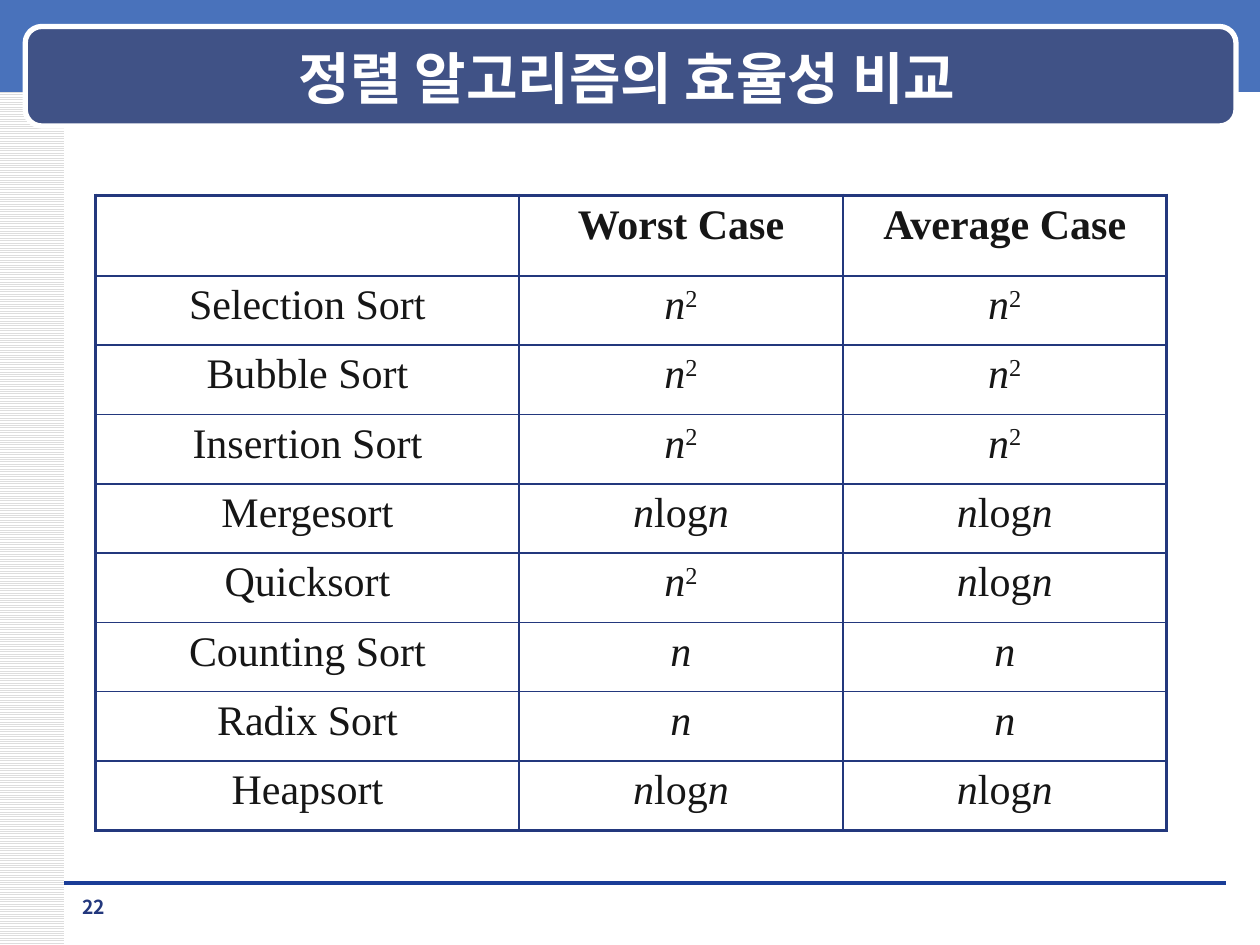
from dataclasses import dataclass

from lxml import etree
from pptx import Presentation
from pptx.dml.color import RGBColor
from pptx.enum.dml import MSO_PATTERN
from pptx.enum.shapes import MSO_CONNECTOR, MSO_SHAPE
from pptx.enum.text import MSO_ANCHOR, PP_ALIGN
from pptx.oxml.ns import qn
from pptx.util import Inches, Pt

RECTANGLE = MSO_SHAPE.RECTANGLE
ROUNDED = MSO_SHAPE.ROUNDED_RECTANGLE
STRIPES = MSO_PATTERN.LIGHT_HORIZONTAL
STRAIGHT = MSO_CONNECTOR.STRAIGHT
CENTER = PP_ALIGN.CENTER
MIDDLE = MSO_ANCHOR.MIDDLE

KOREAN_FONT = "Noto Sans CJK KR"
TABLE_FONT = "Times New Roman"
WHITE = "FFFFFF"
NAVY = "23387D"
INK = "161616"
THIN, THICK = 1, 2.25
COLUMN_WIDTHS = [3.36, 2.57, 2.57]
HEADER_HEIGHT, ROW_HEIGHT = 0.64, 0.55


@dataclass(frozen=True)
class Box:
    left: float
    top: float
    width: float
    height: float

    def lengths(self) -> list:
        return [Inches(value) for value in (self.left, self.top, self.width, self.height)]


@dataclass(frozen=True)
class Piece:
    text: str
    bold: bool = False
    italic: bool = False
    raised: bool = False


N = Piece("n", italic=True)
LINEAR = [N]
QUADRATIC = [N, Piece("2", raised=True)]
LOGARITHMIC = [N, Piece("log"), N]

HEADER = [[], [Piece("Worst Case", bold=True)], [Piece("Average Case", bold=True)]]
SORTS = [
    ("Selection Sort", QUADRATIC, QUADRATIC),
    ("Bubble Sort", QUADRATIC, QUADRATIC),
    ("Insertion Sort", QUADRATIC, QUADRATIC),
    ("Mergesort", LOGARITHMIC, LOGARITHMIC),
    ("Quicksort", QUADRATIC, LOGARITHMIC),
    ("Counting Sort", LINEAR, LINEAR),
    ("Radix Sort", LINEAR, LINEAR),
    ("Heapsort", LOGARITHMIC, LOGARITHMIC),
]


def color(value: str) -> RGBColor:
    return RGBColor.from_string(value)


def add_panel(slide, kind, box: Box, fill: str):
    shape = slide.shapes.add_shape(kind, *box.lengths())
    shape.shadow.inherit = False
    shape.fill.solid()
    shape.fill.fore_color.rgb = color(fill)
    shape.line.fill.background()
    return shape


def add_striped_margin(slide) -> None:
    margin = add_panel(slide, RECTANGLE, Box(0, 0, 0.51, 7.5), WHITE)
    margin.fill.patterned()
    margin.fill.pattern = STRIPES
    margin.fill.fore_color.rgb = color("DDDDDD")
    margin.fill.back_color.rgb = color(WHITE)


def add_title_plate(slide) -> None:
    plate = add_panel(slide, ROUNDED, Box(0.2, 0.21, 9.61, 0.79), "405286")
    plate.adjustments[0] = 0.167
    plate.line.color.rgb = color(WHITE)
    plate.line.width = Pt(3)


def add_footer_line(slide) -> None:
    line = slide.shapes.add_connector(
        STRAIGHT, Inches(0.51), Inches(7.01), Inches(9.73), Inches(7.01)
    )
    line.line.color.rgb = color("1A3D97")
    line.line.width = Pt(0)
    etree.SubElement(line._element.spPr, qn("a:effectLst"))


def format_run(run, font: str, size: float, fill: str, bold: bool) -> None:
    run.font.name = font
    run.font.size = Pt(size)
    run.font.bold = bold
    run.font.color.rgb = color(fill)
    east_asian = etree.SubElement(run._r.get_or_add_rPr(), qn("a:ea"))
    east_asian.set("typeface", font)


def add_label(slide, box: Box, text: str, size: float, fill: str) -> None:
    frame = slide.shapes.add_textbox(*box.lengths()).text_frame
    frame.word_wrap = True
    frame.vertical_anchor = MIDDLE
    frame.text = text
    paragraph = frame.paragraphs[0]
    paragraph.alignment = CENTER
    format_run(paragraph.runs[0], KOREAN_FONT, size, fill, True)


def write_cell(cell, pieces: list[Piece]) -> None:
    paragraph = cell.text_frame.paragraphs[0]
    paragraph.alignment = CENTER
    for piece in pieces:
        run = paragraph.add_run()
        run.text = piece.text
        format_run(run, TABLE_FONT, 24, INK, piece.bold)
        run.font.italic = piece.italic
        if piece.raised:
            run._r.get_or_add_rPr().set("baseline", "30000")


def set_borders(cell, outer_edges: dict[str, bool]) -> None:
    properties = cell._tc.get_or_add_tcPr()
    for edge, is_outer in outer_edges.items():
        width = Pt(THICK if is_outer else THIN)
        border = etree.SubElement(properties, qn(f"a:{edge}"), w=str(width))
        fill = etree.SubElement(border, qn("a:solidFill"))
        etree.SubElement(fill, qn("a:srgbClr"), val=NAVY)


def add_sort_table(slide) -> None:
    rows = HEADER, *([[Piece(name)], worst, average] for name, worst, average in SORTS)
    last_row, last_column = len(rows) - 1, len(COLUMN_WIDTHS) - 1
    box = Box(0.76, 1.55, sum(COLUMN_WIDTHS), HEADER_HEIGHT + ROW_HEIGHT * last_row)
    table = slide.shapes.add_table(len(rows), len(COLUMN_WIDTHS), *box.lengths()).table
    table.first_row = False
    table.horz_banding = False
    for column, width in zip(table.columns, COLUMN_WIDTHS):
        column.width = Inches(width)
    for row_index, row in enumerate(rows):
        table.rows[row_index].height = Inches(ROW_HEIGHT if row_index else HEADER_HEIGHT)
        for column_index, pieces in enumerate(row):
            cell = table.cell(row_index, column_index)
            write_cell(cell, pieces)
            set_borders(cell, {
                "lnL": column_index == 0,
                "lnR": column_index == last_column,
                "lnT": row_index == 0,
                "lnB": row_index == last_row,
            })
            cell.fill.background()


def main() -> None:
    presentation = Presentation()
    presentation.slide_width = Inches(10)
    presentation.slide_height = Inches(7.5)
    slide = presentation.slides.add_slide(presentation.slide_layouts[6])
    add_striped_margin(slide)
    add_panel(slide, RECTANGLE, Box(0, -0.03, 10, 0.76), "4972BB")
    add_footer_line(slide)
    add_title_plate(slide)
    add_label(slide, Box(0.71, 0.3, 8.54, 0.62), "정렬 알고리즘의 효율성 비교", 32, WHITE)
    add_sort_table(slide)
    add_label(slide, Box(0.51, 7.06, 0.47, 0.27), "22", 11, NAVY)
    presentation.save("out.pptx")


if __name__ == "__main__":
    main()
